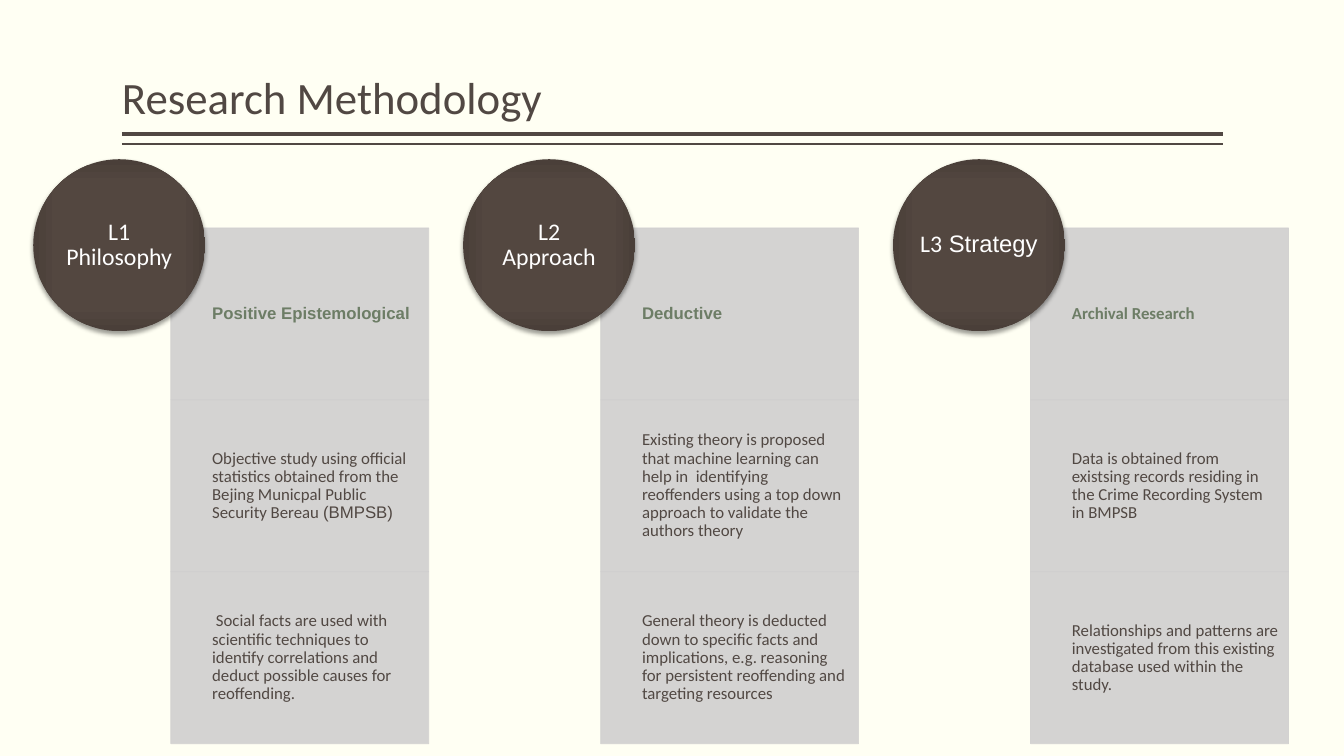
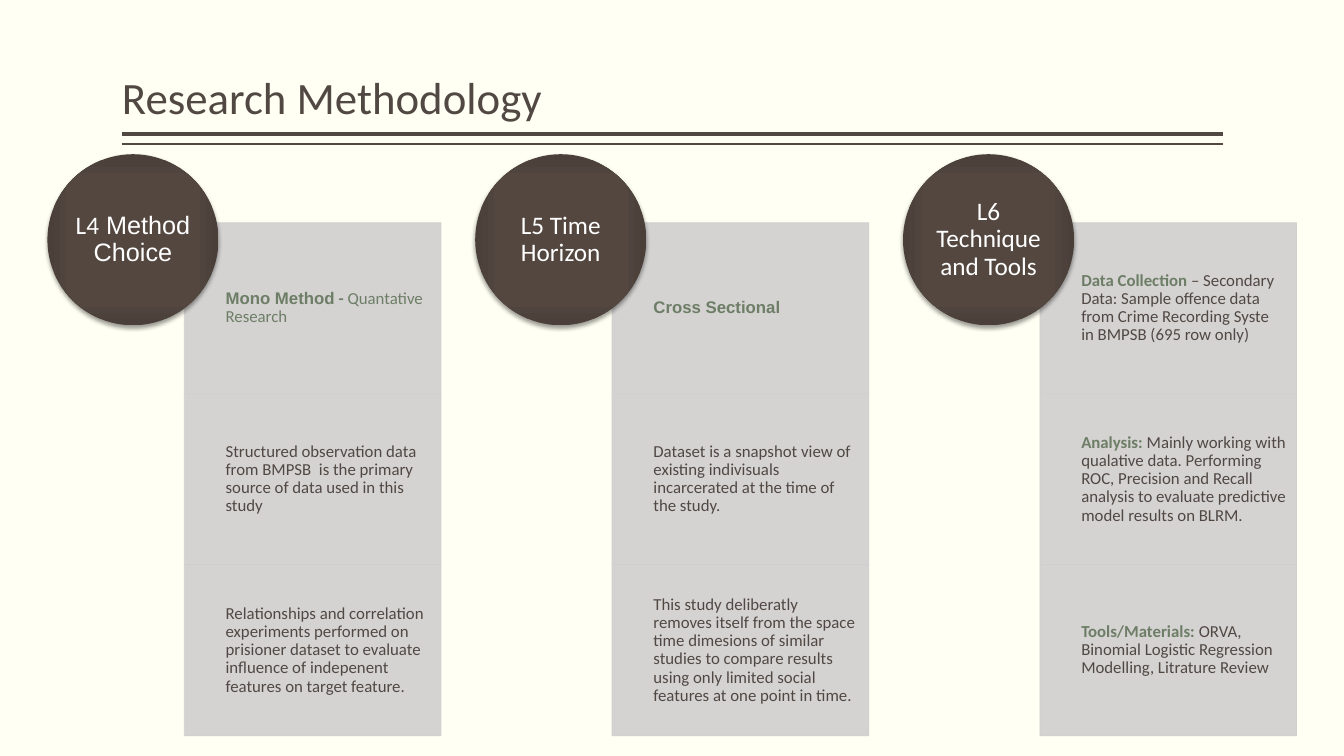
"""Build two slides that set out six layers of a research methodology."""
from lxml import etree
from pptx import Presentation
from pptx.dml import color
from pptx.enum import shapes, text
from pptx.oxml import ns
from pptx.util import Inches, Pt

INK, SAGE, GREY, PAPER, WHITE = "514843", "6D7D66", "D0CFCF", "FFFFF3", "FFFFFF"
BODY, ALT = "Calibri", "Arial"
TITLE = "Research Methodology"
RULES = [(1.33, 3), (1.43, 1)]
LEFT, WIDTH = 1.21, 10.92
DISK_STOPS = [(0, "544740"), (71, "534740"), (100, "4A3F39")]

PLAIN = {}
OTHER = {"name": ALT}
HEAD = {"color": SAGE, "bold": True}
HEAD_ALT = {**HEAD, **OTHER}
HEAD_LIGHT = {"color": SAGE}

SLIDES = [
    {"left": 0.33, "right": 12.78, "top": 1.58, "size": 17, "columns": [
        ([("L1 Philosophy", PLAIN)], [
            [("Positive Epistemological", HEAD_ALT)],
            [("Objective study using official statistics obtained from the Bejing "
              "Municpal Public Security Bereau ", PLAIN), ("(BMPSB)", OTHER)],
            [(" Social facts are used with scientific techniques to identify correlations "
              "and deduct possible causes for reoffending.", PLAIN)]]),
        ([("L2 Approach", PLAIN)], [
            [("Deductive", HEAD_ALT)],
            [("Existing theory is proposed that machine learning can help in  identifying "
              "reoffenders using a top down approach to validate the authors theory", PLAIN)],
            [("General theory is deducted down to specific facts and implications, e.g. "
              "reasoning for persistent reoffending and targeting resources", PLAIN)]]),
        ([("L3", PLAIN), (" Strategy", OTHER)], [
            [("Archival Research", HEAD)],
            [("Data is obtained from existsing records residing in the Crime Recording "
              "System in BMPSB", PLAIN)],
            [("Relationships and patterns are investigated from this existing database "
              "used within the study.", PLAIN)]]),
    ]},
    {"left": 0.47, "right": 12.86, "top": 1.53, "size": 18, "columns": [
        ([("L4", PLAIN), (" Method Choice", OTHER)], [
            [("Mono Method", HEAD_ALT), (" - ", HEAD), ("Quantative Research", HEAD_LIGHT)],
            [("Structured observation data from BMPSB  is the primary source of data used "
              "in this study", PLAIN)],
            [("Relationships and correlation experiments performed on prisioner dataset to "
              "evaluate influence of indepenent features on target feature.", PLAIN)]]),
        ([("L5 Time Horizon", PLAIN)], [
            [("Cross Sectional", HEAD_ALT)],
            [("Dataset is a snapshot view of existing indivisuals incarcerated at the time "
              "of the study.", PLAIN)],
            [("This study deliberatly removes itself from the space time dimesions of "
              "similar studies to compare results using only limited social features at "
              "one point in time.", PLAIN)]]),
        ([("L6 Technique and Tools", PLAIN)], [
            [("Data Collection", HEAD),
             (" – Secondary Data: Sample offence data from Crime Recording Syste  in BMPSB "
              "(695 row only)", PLAIN)],
            [("Analysis:", HEAD),
             (" Mainly working with qualative data. Performing  ROC, Precision and Recall "
              "analysis to evaluate predictive model results on BLRM.", PLAIN)],
            [("Tools/Materials:", HEAD),
             (" ORVA, Binomial Logistic Regression Modelling, Litrature Review", PLAIN)]]),
    ]},
]


def rgb(value):
    """Turn a hex string into a colour."""
    return color.RGBColor.from_string(value)


def xml(markup):
    """Parse a fragment that uses the drawing prefix."""
    head, mark, tail = markup.partition(">")
    slash = "/" if head.endswith("/") else ""
    return etree.fromstring(f"{head.rstrip('/')} {ns.nsdecls('a')}{slash}{mark}{tail}")


def write(box, runs, size, ink, anchor, align, insets):
    """Fill a box with one paragraph of styled runs."""
    frame = box.text_frame
    frame.word_wrap = True
    frame.vertical_anchor = anchor
    (frame.margin_left, frame.margin_top,
     frame.margin_right, frame.margin_bottom) = map(Inches, insets)
    para = frame.paragraphs[0]
    para.alignment = align
    para.line_spacing = 0.9
    para.font.size = Pt(size)
    para.font.name = BODY
    para.font.color.rgb = rgb(ink)
    for words, style in runs:
        span = para.add_run()
        span.text = words
        if "name" in style:
            span.font.name = style["name"]
        if "color" in style:
            span.font.color.rgb = rgb(style["color"])
        if "bold" in style:
            span.font.bold = style["bold"]


def add_heading(page):
    """Add the title and the double rule below it."""
    for height, weight in RULES:
        rule = page.shapes.add_connector(
            shapes.MSO_CONNECTOR.STRAIGHT, Inches(LEFT), Inches(height),
            Inches(LEFT + WIDTH), Inches(height))
        rule.line.color.rgb = rgb(INK)
        rule.line.width = Pt(weight)
        rule.element.spPr.append(xml("<a:effectLst/>"))
    box = page.shapes.add_textbox(Inches(LEFT), Inches(0.08), Inches(WIDTH), Inches(1.2))
    write(box, [(TITLE, PLAIN)], 32, INK, text.MSO_ANCHOR.BOTTOM,
          text.PP_ALIGN.LEFT, (0, 0.05, 0, 0.05))


def add_card(page, left, top, width, height, runs):
    """Add one translucent grey card."""
    card = page.shapes.add_shape(shapes.MSO_SHAPE.RECTANGLE, Inches(left), Inches(top),
                                 Inches(width), Inches(height))
    card.shadow.inherit = False
    card.fill.solid()
    card.fill.fore_color.rgb = rgb(GREY)
    card.line.color.rgb = rgb(GREY)
    card.line.width = Pt(0.5)
    for tone in card.element.spPr.findall(".//" + ns.qn("a:srgbClr")):
        tone.append(xml('<a:alpha val="90000"/>'))
    write(card, runs, 12, INK, text.MSO_ANCHOR.MIDDLE, text.PP_ALIGN.LEFT,
          (0.41, 0.09, 0.09, 0.09))


def add_disk(page, left, top, side, runs, size):
    """Add the shaded disk that names a layer."""
    disk = page.shapes.add_shape(shapes.MSO_SHAPE.OVAL, Inches(left), Inches(top),
                                 Inches(side), Inches(side))
    disk.line.fill.background()
    stops = "".join(f'<a:gs pos="{place * 1000}"><a:srgbClr val="{tone}"/></a:gs>'
                    for place, tone in DISK_STOPS)
    props = disk.element.spPr
    props.find(ns.qn("a:prstGeom")).addnext(xml(
        f'<a:gradFill><a:gsLst>{stops}</a:gsLst><a:path path="rect">'
        '<a:fillToRect l="50000" t="50000" r="50000" b="50000"/></a:path></a:gradFill>'))
    props.append(xml(
        f'<a:effectLst><a:outerShdw blurRad="{Pt(3.1)}" dist="{Pt(2)}" dir="5400000" '
        'rotWithShape="0"><a:srgbClr val="000000"><a:alpha val="38000"/></a:srgbClr>'
        '</a:outerShdw></a:effectLst>'))
    write(disk, runs, size, WHITE, text.MSO_ANCHOR.MIDDLE, text.PP_ALIGN.CENTER,
          (0.01, 0, 0.01, 0))


def add_layers(page, left, right, top, size, columns):
    """Lay out the columns, with every length a multiple of the disk."""
    pitch, shift, drop, breadth = 2.5, 0.8, 0.4, 1.5
    side = (right - left) / (pitch * (len(columns) - 1) + shift + breadth)
    for column, (label, cards) in enumerate(columns):
        start = left + column * pitch * side
        for row, runs in enumerate(cards):
            add_card(page, start + shift * side, top + (drop + row) * side,
                     breadth * side, side, runs)
        add_disk(page, start, top, side, label, size)


def main():
    """Build and save the deck."""
    deck = Presentation()
    deck.slide_width, deck.slide_height = Inches(13.33), Inches(7.5)
    backdrop = deck.slide_master.background.fill
    backdrop.solid()
    backdrop.fore_color.rgb = rgb(PAPER)
    for content in SLIDES:
        page = deck.slides.add_slide(deck.slide_layouts[6])
        add_heading(page)
        add_layers(page, **content)
    deck.save("out.pptx")


if __name__ == "__main__":
    main()
